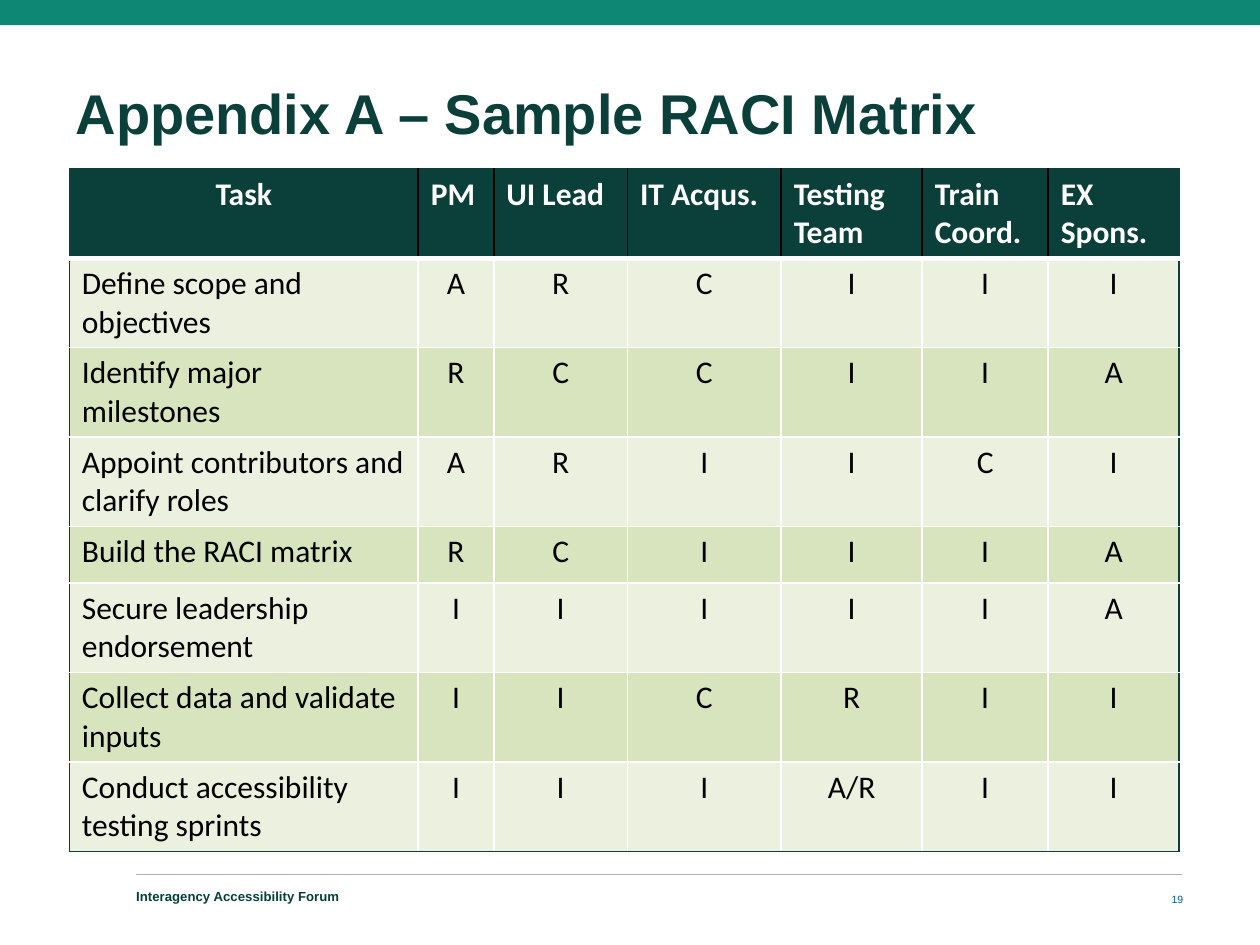
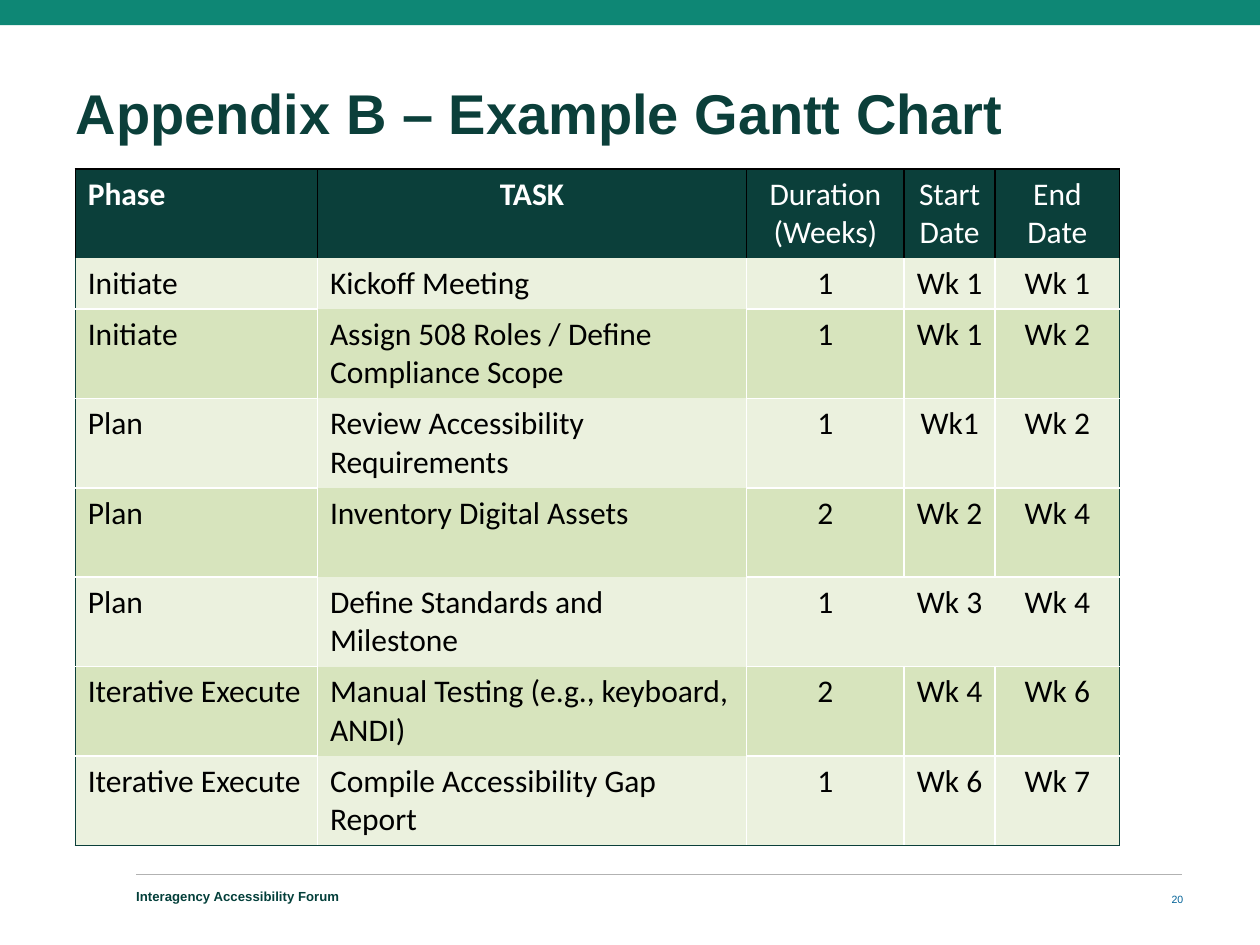
from dataclasses import dataclass

from lxml.etree import SubElement
from pptx import Presentation
from pptx.dml.color import RGBColor
from pptx.enum.shapes import MSO_CONNECTOR, MSO_SHAPE
from pptx.enum.text import MSO_ANCHOR, MSO_AUTO_SIZE, PP_ALIGN
from pptx.oxml import parse_xml
from pptx.oxml.ns import nsdecls, qn
from pptx.util import Pt


@dataclass(frozen=True)
class Theme:
    band: str = "0E8775"
    dark: str = "0B3F3A"
    footer: str = "033F3A"
    number: str = "006197"
    rule: str = "B2B2B2"
    white: str = "FFFFFF"
    black: str = "000000"
    pale_row: str = "EBF1DE"
    green_row: str = "D7E4BD"
    heading_font: str = "Arial"
    table_font: str = "Calibri"
    title_size: float = 32
    table_size: float = 18
    footer_size: float = 7.5
    number_size: float = 6


@dataclass(frozen=True)
class TableLook:
    """How one table departs from the common table style."""
    text_columns: int                 # leading columns whose body is left-aligned
    centered_headers: tuple
    bold_headers: tuple
    header_frame: str                 # colour around the header row
    header_rule: tuple | None         # line under the header row
    unruled_columns: tuple = ()       # columns without lines between rows
    open_sides: tuple = ()            # cells without a line on their left


def color(value):
    return RGBColor.from_string(value)


class Deck:
    def __init__(self, theme, first_number):
        self.theme = theme
        self.next_number = first_number
        self.presentation = Presentation()
        self.presentation.slide_width = Pt(720)
        self.presentation.slide_height = Pt(540)
        self.page = None

    # Shared page frame: band, rule, title, footer and number
    def add_page(self, title):
        theme = self.theme
        self.page = self.presentation.slides.add_slide(self.presentation.slide_layouts[5])
        self.band(0, 0, 720, 14.4)
        self.rule(77.8, 675.4, 499.7)
        self.title(title)
        self.label("Interagency Accessibility Forum", 77.8, 506.9, 378.7, 13.7,
                   theme.footer_size, theme.footer, bold=True, spacing=0.5)
        self.label(str(self.next_number), 644.4, 506.9, 31.7, 14.4,
                   theme.number_size, theme.number, align=PP_ALIGN.RIGHT)
        self.next_number += 1

    def style(self, para, font, size, ink, bold=False, align=PP_ALIGN.LEFT):
        para.alignment = align
        para.font.name = font
        para.font.size = Pt(size)
        para.font.bold = bold
        para.font.color.rgb = color(ink)

    def band(self, left, top, width, height):
        shape = self.page.shapes.add_shape(MSO_SHAPE.RECTANGLE, Pt(left), Pt(top),
                                           Pt(width), Pt(height))
        shape.shadow.inherit = False
        shape.fill.solid()
        shape.fill.fore_color.rgb = color(self.theme.band)
        shape.line.fill.background()

    def rule(self, left, right, top):
        line = self.page.shapes.add_connector(MSO_CONNECTOR.STRAIGHT, Pt(left), Pt(top),
                                              Pt(right), Pt(top))
        line.line.color.rgb = color(self.theme.rule)
        line.line.width = Pt(0.75)
        SubElement(line._element.spPr, qn("a:effectLst"))

    def title(self, text):
        box = self.page.shapes.title
        box.left, box.top, box.width, box.height = Pt(43.2), Pt(45.4), Pt(632.9), Pt(38.9)
        frame = box.text_frame
        frame.text = text
        frame.margin_left = frame.margin_right = frame.margin_bottom = 0
        frame.margin_top = Pt(3.6)
        frame.vertical_anchor = MSO_ANCHOR.TOP
        frame.auto_size = MSO_AUTO_SIZE.SHAPE_TO_FIT_TEXT
        para = frame.paragraphs[0]
        para.line_spacing = 0.9
        self.style(para, self.theme.heading_font, self.theme.title_size, self.theme.dark, True)

    def label(self, text, left, top, width, height, size, ink,
              bold=False, align=PP_ALIGN.LEFT, spacing=1.0):
        box = self.page.shapes.add_textbox(Pt(left), Pt(top), Pt(width), Pt(height))
        frame = box.text_frame
        frame.text = text
        frame.word_wrap = True
        frame.margin_left = frame.margin_right = frame.margin_top = frame.margin_bottom = 0
        frame.vertical_anchor = MSO_ANCHOR.MIDDLE
        para = frame.paragraphs[0]
        para.line_spacing = spacing
        self.style(para, self.theme.heading_font, size, ink, bold, align)

    # Tables
    def table(self, left, top, widths, heights, rows, look):
        theme = self.theme
        table = self.page.shapes.add_table(len(rows), len(widths), Pt(left), Pt(top),
                                           Pt(sum(widths)), Pt(sum(heights))).table
        table.horz_banding = False
        for column, width in zip(table.columns, widths):
            column.width = Pt(width)
        for row, height in zip(table.rows, heights):
            row.height = Pt(height)
        last = (len(rows) - 1, len(widths) - 1)
        for r, texts in enumerate(rows):
            for c, text in enumerate(texts):
                cell = table.cell(r, c)
                cell.text = text
                if r == 0:
                    fill, ink = theme.dark, theme.white
                    bold, centered = c in look.bold_headers, c in look.centered_headers
                else:
                    fill = theme.pale_row if r % 2 else theme.green_row
                    ink, bold, centered = theme.black, False, c >= look.text_columns
                cell.fill.solid()
                cell.fill.fore_color.rgb = color(fill)
                align = PP_ALIGN.CENTER if centered else PP_ALIGN.LEFT
                for para in cell.text_frame.paragraphs:
                    self.style(para, theme.table_font, theme.table_size, ink, bold, align)
                self.borders(cell, self.cell_edges(r, c, last, look))

    def cell_edges(self, r, c, last, look):
        """Left, right, top and bottom lines as (colour, width) or None."""
        theme = self.theme
        last_row, last_column = last
        frame = (look.header_frame if r == 0 else theme.dark, 1)
        inner = (theme.black if r == 0 else theme.white, 1)
        between_rows = None if c in look.unruled_columns else (theme.white, 1)

        def side(column):
            if column in (0, last_column + 1):
                return frame
            return None if (r, column) in look.open_sides else inner

        def level(row):
            if row in (0, last_row + 1):
                return frame
            return look.header_rule if row == 1 else between_rows

        return side(c), side(c + 1), level(r), level(r + 1)

    def borders(self, cell, edges):
        properties = cell._tc.get_or_add_tcPr()
        for position, (tag, edge) in enumerate(zip(("lnL", "lnR", "lnT", "lnB"), edges)):
            ink, width = edge or (None, 0)
            paint = (f'<a:solidFill><a:srgbClr val="{ink}"/></a:solidFill>'
                     if edge else "<a:noFill/>")
            properties.insert(position, parse_xml(
                f'<a:{tag} {nsdecls("a")} w="{Pt(width)}">{paint}</a:{tag}>'))


# Content
RACI_ROWS = [
    ("Task", "PM", "UI Lead", "IT Acqus.", "Testing Team", "Train Coord.", "EX\nSpons."),
    ("Define scope and objectives", "A", "R", "C", "I", "I", "I"),
    ("Identify major milestones", "R", "C", "C", "I", "I", "A"),
    ("Appoint contributors and clarify roles", "A", "R", "I", "I", "C", "I"),
    ("Build the RACI matrix", "R", "C", "I", "I", "I", "A"),
    ("Secure leadership endorsement", "I", "I", "I", "I", "I", "A"),
    ("Collect data and validate inputs", "I", "I", "C", "R", "I", "I"),
    ("Conduct accessibility testing sprints", "I", "I", "I", "A/R", "I", "I"),
]
GANTT_ROWS = [
    ("Phase", "TASK", "Duration\n(Weeks)", "Start\nDate", "End\nDate"),
    ("Initiate", "Kickoff Meeting", "1", "Wk 1", "Wk 1"),
    ("Initiate", "Assign 508 Roles / Define Compliance Scope", "1", "Wk 1", "Wk 2"),
    ("Plan", "Review Accessibility Requirements", "1", "Wk1", "Wk 2"),
    ("Plan", "Inventory Digital Assets", "2", "Wk 2", "Wk 4"),
    ("Plan", "Define Standards and Milestone", "1", "Wk 3", "Wk 4"),
    ("Iterative Execute", "Manual Testing (e.g., keyboard, ANDI)", "2", "Wk 4", "Wk 6"),
    ("Iterative Execute", "Compile Accessibility Gap Report", "1", "Wk 6", "Wk 7"),
]
TABLE_TOP = 96.5
TWO_LINES = 51.1


def main():
    theme = Theme()
    deck = Deck(theme, first_number=19)

    # RACI matrix
    deck.add_page("Appendix A – Sample RACI Matrix")
    deck.table(39.6, TABLE_TOP, [199.4, 43.2, 76.4, 87.8, 80.6, 72, 74.8],
               [TWO_LINES] * 4 + [32.4] + [TWO_LINES] * 3, RACI_ROWS,
               TableLook(text_columns=1, centered_headers=(0,), bold_headers=tuple(range(7)),
                         header_frame=theme.dark, header_rule=(theme.white, 3)))

    # Gantt table
    deck.add_page("Appendix B – Example Gantt Chart")
    deck.table(43, TABLE_TOP, [138.4, 245.3, 90, 52, 71.2],
               [TWO_LINES, 29] + [TWO_LINES] * 6, GANTT_ROWS,
               TableLook(text_columns=2, centered_headers=(1, 2, 3, 4), bold_headers=(0, 1),
                         header_frame=theme.black, header_rule=None,
                         unruled_columns=(1,), open_sides=((5, 3), (5, 4))))

    deck.presentation.save("out.pptx")


if __name__ == "__main__":
    main()
